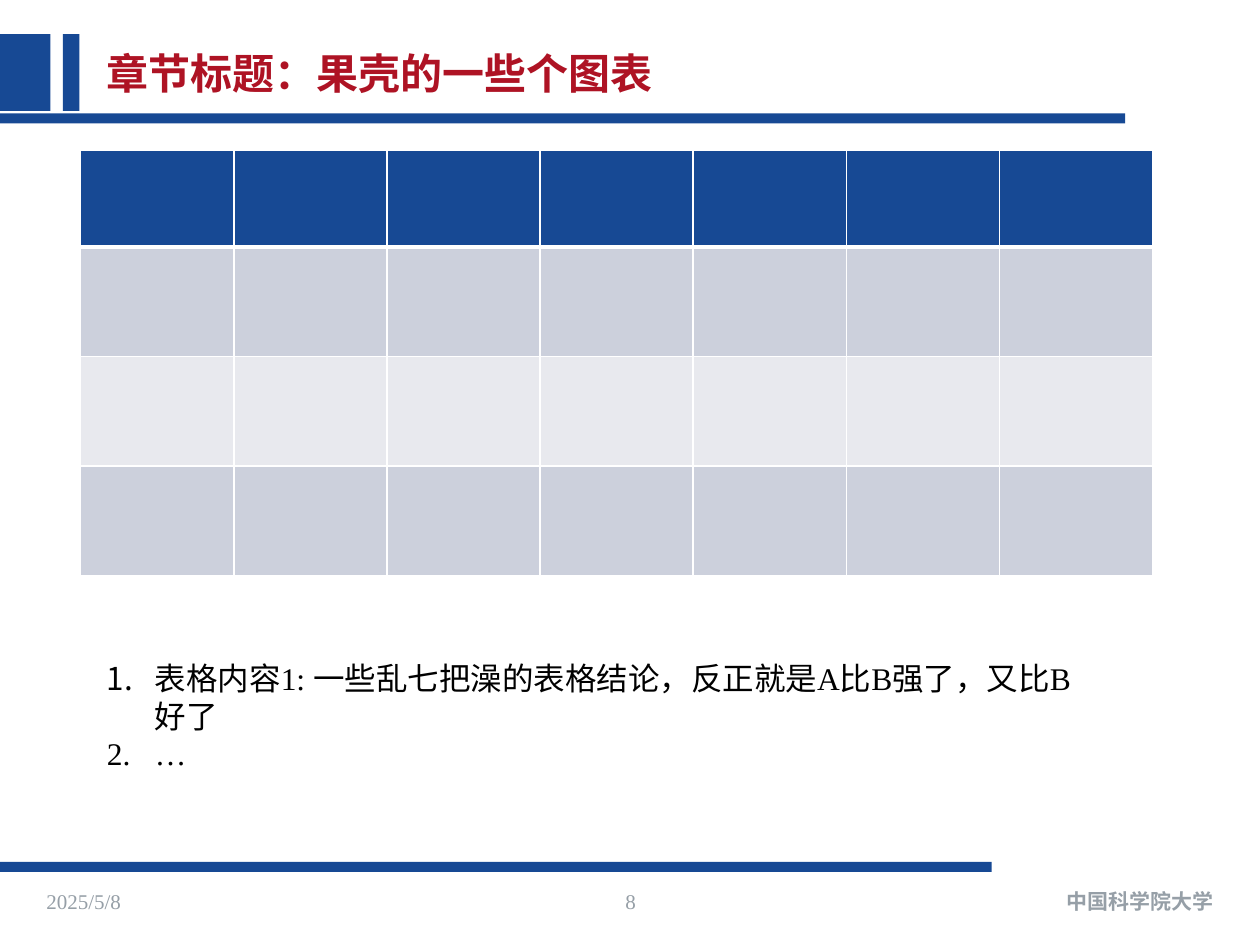
from pptx import Presentation
from pptx import util as u
from pptx.dml.color import RGBColor
from pptx.enum import shapes, text
from pptx.oxml import parse_xml
from pptx.oxml.ns import nsdecls

COLORS = {
    "blue": "174994",
    "red": "AE1324",
    "gray": "969FA7",
    "black": "000000",
    "white": "FFFFFF",
    "dark_band": "CCD0DC",
    "light_band": "E8E9EE",
}
FONT = "Times New Roman"


def add_text(slide, box, lines, size, color, bold=False,
             align=text.PP_ALIGN.LEFT, anchor=text.MSO_ANCHOR.MIDDLE):
    shape = slide.shapes.add_textbox(*[u.Inches(value) for value in box])
    frame = shape.text_frame
    frame.word_wrap = True
    frame.vertical_anchor = anchor
    for index, line in enumerate(lines):
        paragraph = frame.add_paragraph() if index else frame.paragraphs[0]
        paragraph.alignment = align
        run = paragraph.add_run()
        run.text = line
        run.font.name = FONT
        run.font.size = u.Pt(size)
        run.font.bold = bold
        run.font.color.rgb = RGBColor.from_string(COLORS[color])
    return frame


def add_border(cell, side, width):
    cell._tc.get_or_add_tcPr().append(parse_xml(
        f'<a:{side} {nsdecls("a")} w="{u.Pt(width)}"><a:solidFill>'
        f'<a:srgbClr val="{COLORS["white"]}"/></a:solidFill></a:{side}>'))


presentation = Presentation()
presentation.slide_width = u.Inches(10)
presentation.slide_height = u.Inches(7.5)
slide = presentation.slides.add_slide(presentation.slide_layouts[6])

bars = [
    (0, 0.27, 0.4, 0.61),
    (0.5, 0.27, 0.13, 0.61),
    (0, 6.84, 7.87, 0.08),
    (-0.01, 0.9, 8.94, 0.08),
]
for bar in bars:
    shape = slide.shapes.add_shape(
        shapes.MSO_SHAPE.RECTANGLE, *[u.Inches(value) for value in bar])
    shape.shadow.inherit = False
    shape.fill.solid()
    shape.fill.fore_color.rgb = RGBColor.from_string(COLORS["blue"])
    shape.line.fill.background()

add_text(slide, (0.27, 6.95, 2.36, 0.4), ["2025/5/8"], 12, "gray")
add_text(slide, (6.59, 6.95, 3.14, 0.4), ["中国科学院大学"], 12, "gray",
         bold=True, align=text.PP_ALIGN.RIGHT)
add_text(slide, (3.92, 6.95, 2.17, 0.4), ["8"], 12, "gray",
         align=text.PP_ALIGN.CENTER)
add_text(slide, (0.75, 0.18, 7.99, 0.79), ["章节标题：果壳的一些个图表"],
         24, "red", bold=True)

row_heights = [0.75, 0.87, 0.87, 0.87]
row_heights[0] = 0.77
row_fills = ["blue", "dark_band", "light_band", "dark_band"]
table = slide.shapes.add_table(
    len(row_heights), 7, u.Inches(0.64), u.Inches(1.19),
    u.Inches(8.51), u.Inches(3.37)).table
for column in table.columns:
    column.width = u.Inches(8.51 / 7)
for index, (height, fill) in enumerate(zip(row_heights, row_fills)):
    row = table.rows[index]
    row.height = u.Inches(height)
    for cell in row.cells:
        for side in ("lnL", "lnR", "lnT", "lnB"):
            header_edge = (index, side) in ((0, "lnB"), (1, "lnT"))
            add_border(cell, side, 3 if header_edge else 1)
        cell.fill.solid()
        cell.fill.fore_color.rgb = RGBColor.from_string(COLORS[fill])

conclusions = add_text(
    slide, (0.75, 5.18, 7.99, 1.44),
    ["表格内容1: 一些乱七把澡的表格结论，反正就是A比B强了，又比B好了", "…"],
    18, "black", anchor=text.MSO_ANCHOR.TOP)
for paragraph in conclusions.paragraphs:
    properties = paragraph._p.get_or_add_pPr()
    properties.set("marL", str(u.Inches(0.38)))
    properties.set("indent", str(u.Inches(-0.38)))
    properties.append(parse_xml(
        f'<a:buFont {nsdecls("a")} typeface="+mj-lt"/>'))
    properties.append(parse_xml(
        f'<a:buAutoNum {nsdecls("a")} type="arabicPeriod"/>'))

presentation.save("out.pptx")
